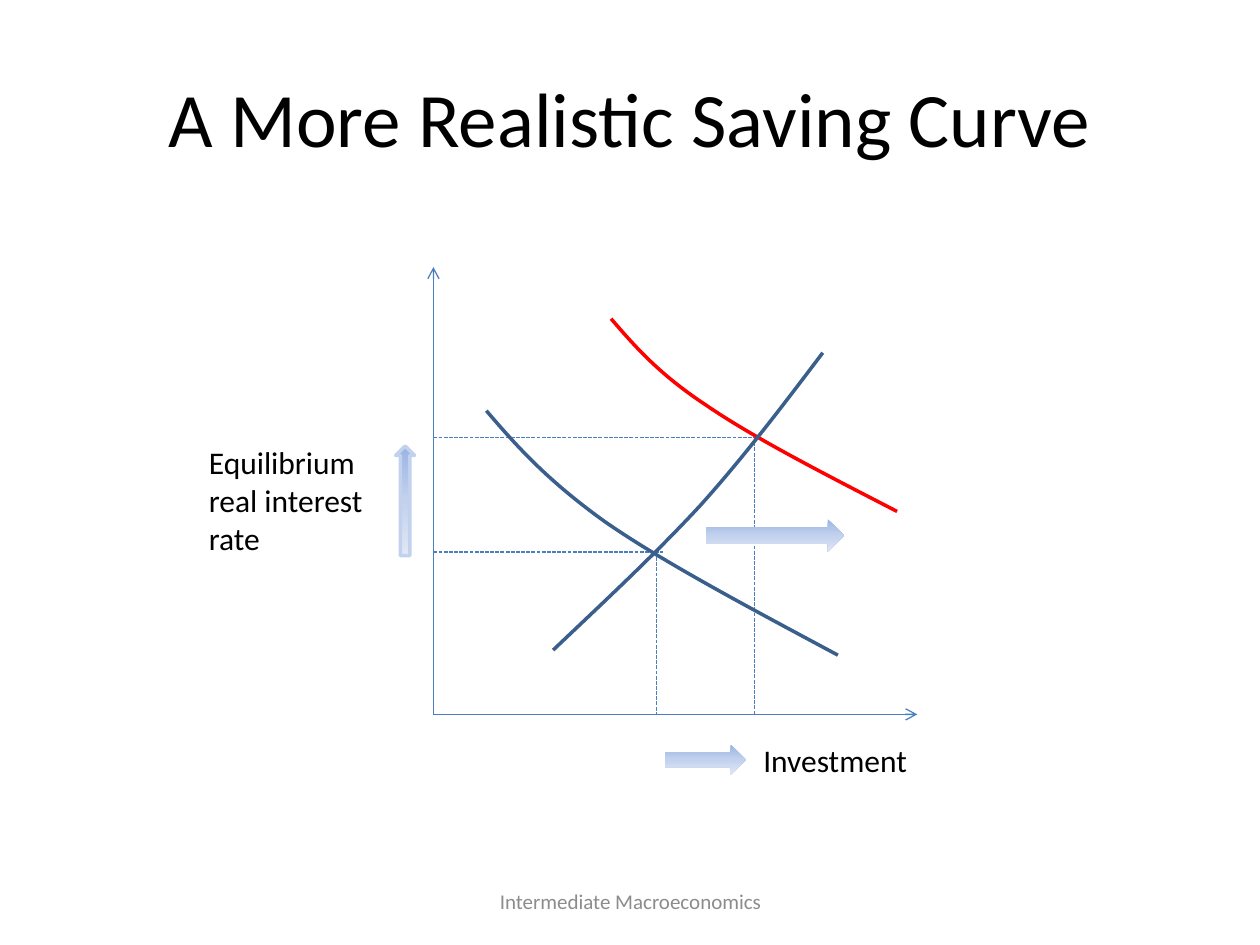
from copy import deepcopy
from dataclasses import dataclass

from pptx import Presentation
from pptx.dml.color import RGBColor
from pptx.enum.dml import MSO_LINE
from pptx.enum.shapes import MSO_CONNECTOR, MSO_SHAPE
from pptx.enum.text import MSO_ANCHOR, PP_ALIGN
from pptx.oxml.ns import qn
from pptx.oxml.xmlchemy import OxmlElement
from pptx.util import Inches, Pt


@dataclass(frozen=True)
class Theme:
    font: str = "Calibri"
    text: RGBColor = RGBColor(0x00, 0x00, 0x00)
    muted: RGBColor = RGBColor(0x8C, 0x8C, 0x8C)
    axis: RGBColor = RGBColor(0x4B, 0x7E, 0xBC)
    curve: RGBColor = RGBColor(0x3A, 0x5F, 0x8C)
    shifted: RGBColor = RGBColor(0xFF, 0x00, 0x00)
    arrow_dark: RGBColor = RGBColor(0x9A, 0xB5, 0xE4)
    arrow_mid: RGBColor = RGBColor(0xC2, 0xD1, 0xED)
    arrow_light: RGBColor = RGBColor(0xE1, 0xE8, 0xF5)
    title_size: Pt = Pt(44)
    label_size: Pt = Pt(18)
    footer_size: Pt = Pt(12)
    thin: Pt = Pt(0.75)
    thick: Pt = Pt(2)


theme = Theme()
deck = Presentation()
deck.slide_width, deck.slide_height = Inches(10), Inches(7.5)
CELL = deck.slide_width / 100  # grid of 100 columns by 75 rows


def grid(*cells):
    """Turn grid columns and rows into slide lengths."""
    return [round(cell * CELL) for cell in cells]


def style_paragraph(paragraph, size, color, align):
    paragraph.alignment = align
    paragraph.font.name = theme.font
    paragraph.font.size = size
    paragraph.font.color.rgb = color


slide = deck.slides.add_slide(deck.slide_layouts[5])
shapes = slide.shapes

title = shapes.title
title.left, title.top, title.width, title.height = grid(5, 3, 90, 12.5)
title.text_frame.text = "A More Realistic Saving Curve"
title.text_frame.vertical_anchor = MSO_ANCHOR.MIDDLE
style_paragraph(title.text_frame.paragraphs[0], theme.title_size, theme.text, PP_ALIGN.CENTER)

# Axes and the dashed guides of the two equilibria
axis_x, axis_y = 34.4, 56.7
old_investment, old_rate = 52.1, 43.8
new_investment, new_rate = 59.9, 34.7
lines = [
    ((axis_x, axis_y, 72.8, axis_y), True),
    ((axis_x, axis_y, axis_x, 21.2), True),
    ((axis_x, new_rate, new_investment, new_rate), False),
    ((axis_x, old_rate, 52.6, old_rate), False),
    ((old_investment, old_rate, old_investment, axis_y), False),
    ((new_investment, new_rate, new_investment, axis_y), False),
]
for ends, is_axis in lines:
    line = shapes.add_connector(MSO_CONNECTOR.STRAIGHT, *grid(*ends))
    line.line.color.rgb = theme.axis
    line.line.width = theme.thin
    if is_axis:
        arrowhead = OxmlElement("a:tailEnd")
        arrowhead.set("type", "arrow")
        line.line._get_or_add_ln().append(arrowhead)
    else:
        line.line.dash_style = MSO_LINE.SQUARE_DOT
    line._element.spPr.append(OxmlElement("a:effectLst"))

# Each curve: a start point, then three Bezier points per segment
curves = [
    (theme.shifted, [(48.5, 25.3), (50.4, 27.5), (52.3, 29.7), (56.1, 32.2),
                     (59.9, 34.8), (65.6, 37.7), (71.2, 40.6)]),
    (theme.curve, [(38.6, 32.6), (41, 35.4), (43.4, 38.1), (48, 41.4),
                   (52.6, 44.6), (59.6, 48.3), (66.5, 52)]),
    (theme.curve, [(43.9, 51.6), (47.9, 47.8), (52, 44), (55.6, 40.1),
                   (59.1, 36.2), (62.2, 32.1), (65.3, 28)]),
]
for color, points in curves:
    start, *rest = [grid(*point) for point in points]
    builder = shapes.build_freeform(*start)
    builder.add_line_segments(rest, close=False)
    curve = builder.convert_to_shape()
    segments = curve._element.findall(".//" + qn("a:lnTo"))
    for first in range(0, len(segments), 3):
        bezier = OxmlElement("a:cubicBezTo")
        segments[first].addprevious(bezier)
        for segment in segments[first:first + 3]:
            bezier.append(segment[0])
            segment.getparent().remove(segment)
    curve.fill.background()
    curve.line.color.rgb = color
    curve.line.width = theme.thick
    curve.shadow.inherit = False

# Block arrows showing the direction of change
block_arrows = [
    (MSO_SHAPE.RIGHT_ARROW, (52.8, 59.1, 6.4, 2.4), False),
    (MSO_SHAPE.RIGHT_ARROW, (56, 41.2, 11, 2.6), False),
    (MSO_SHAPE.UP_ARROW, (31.4, 35.4, 1.5, 8.7), True),
]
gradient = [(0, theme.arrow_dark), (0.5, theme.arrow_mid), (1, theme.arrow_light)]
for kind, box, outlined in block_arrows:
    arrow = shapes.add_shape(kind, *grid(*box))
    arrow.shadow.inherit = False
    arrow.fill.gradient()
    arrow.fill.gradient_angle = 270
    stops = arrow._element.find(".//" + qn("a:gsLst"))
    stops.append(deepcopy(stops[0]))
    for stop, (position, color) in zip(arrow.fill.gradient_stops, gradient):
        stop.position = position
        stop.color.rgb = color
    if outlined:
        arrow.line.color.rgb = theme.arrow_mid
        arrow.line.width = theme.thick
    else:
        arrow.line.fill.background()

labels = [
    ("Equilibrium real interest rate", (15.6, 34.7, 15.7, 10.1),
     theme.label_size, theme.text, PP_ALIGN.LEFT, MSO_ANCHOR.TOP),
    ("Investment", (59.6, 58.3, 19.3, 4),
     theme.label_size, theme.text, PP_ALIGN.LEFT, MSO_ANCHOR.TOP),
    ("Intermediate Macroeconomics", (34.2, 69.5, 31.7, 4),
     theme.footer_size, theme.muted, PP_ALIGN.CENTER, MSO_ANCHOR.MIDDLE),
]
for text, box, size, color, align, anchor in labels:
    frame = shapes.add_textbox(*grid(*box)).text_frame
    frame.word_wrap = True
    frame.vertical_anchor = anchor
    frame.text = text
    style_paragraph(frame.paragraphs[0], size, color, align)

deck.save("out.pptx")
